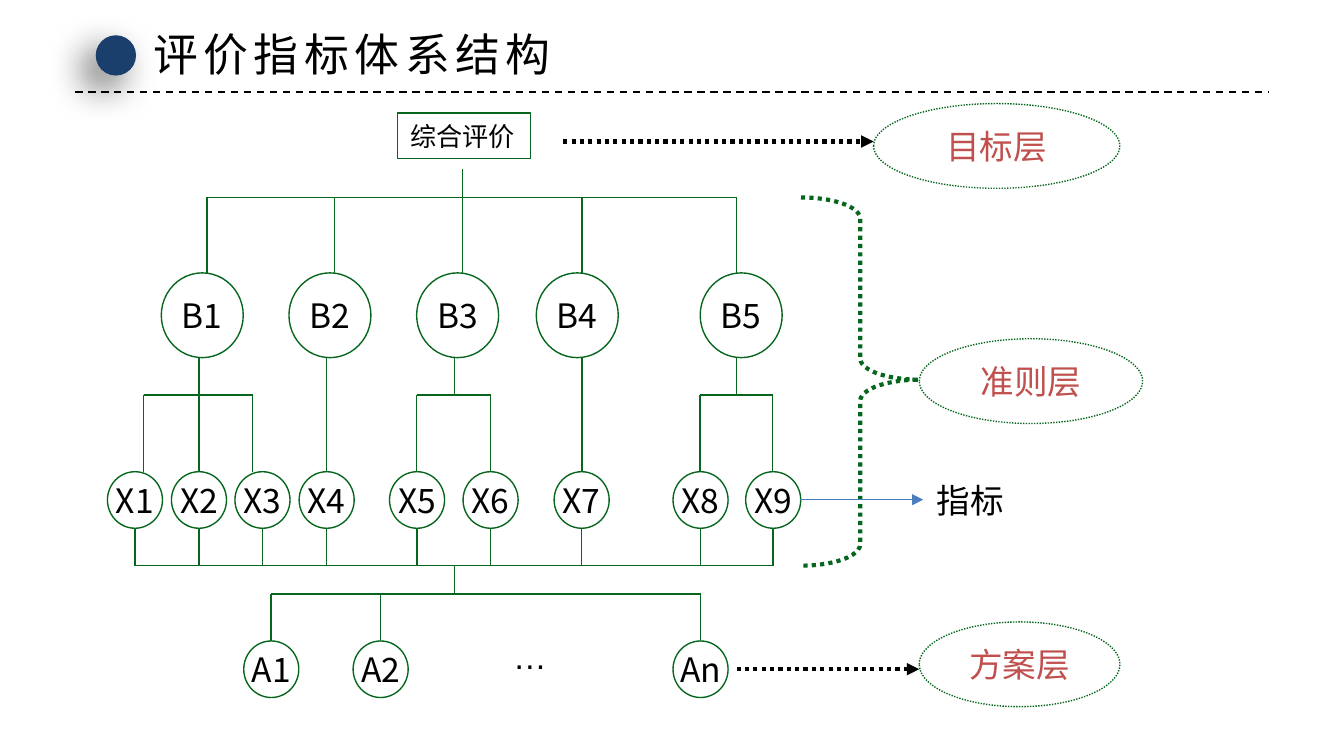
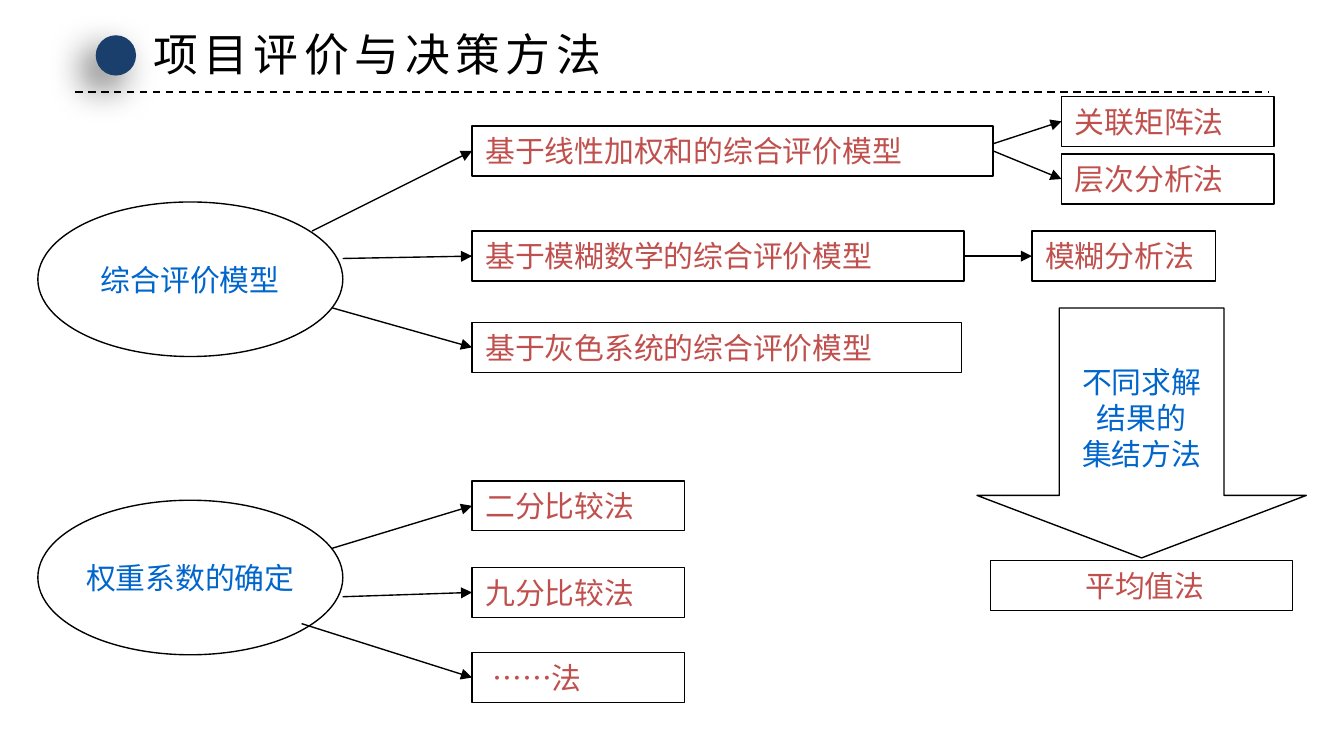
from typing import NamedTuple

from lxml.etree import SubElement
from pptx import Presentation
from pptx.dml.color import RGBColor
from pptx.enum.dml import MSO_LINE as Dash
from pptx.enum.shapes import MSO_CONNECTOR as Conn, MSO_SHAPE as Kind
from pptx.enum.text import MSO_ANCHOR as Anchor, MSO_AUTO_SIZE as Auto, PP_ALIGN as Align
from pptx.oxml.ns import qn
from pptx.util import Pt

# Shared look
HEX = {"ink": "000000", "navy": "1A3F6C", "green": "06661D", "red": "C0504D",
       "blue": "0066CC", "steel": "4B7EBC", "white": "FFFFFF"}
SANS = "Noto Sans CJK SC"
DOT = Dash.ROUND_DOT
THIN, THICK = 0.75, 2.25


class Node(NamedTuple):
    text: str
    x: float
    y: float
    w: float
    h: float


class Crit(NamedTuple):
    text: str
    left: float
    drop: float  # x of the line from above
    stem: float  # x of the line going down
    kids: tuple[float, ...]


class Box(NamedTuple):
    text: str
    x: float
    y: float
    w: float
    pad: float = 0
    align: Align = Align.LEFT


class Fan(NamedTuple):
    text: str
    y: float
    starts: tuple[tuple[float, float], ...]
    boxes: tuple[Box, ...]


def rgb(name: str) -> RGBColor:
    return RGBColor.from_string(HEX[name])


def write(shape, text: str, *, size: float = 18, color: str = "ink", font: str = SANS,
          align: Align = Align.CENTER, wrap: bool = False, pad: float = 0,
          gap: float = 0, track: int = 0) -> None:
    """Fill a shape with text, one paragraph per line."""
    frame = shape.text_frame
    frame.text = text
    frame.word_wrap = wrap
    frame.auto_size = Auto.NONE
    frame.vertical_anchor = Anchor.MIDDLE
    frame.margin_left = Pt(7.2 + pad)
    for para in frame.paragraphs:
        para.alignment = align
        if gap:
            para.line_spacing = Pt(gap)
        for run in para.runs:
            run.font.size = Pt(size)
            run.font.name = font
            run.font.color.rgb = rgb(color)
            props = run.font._element
            SubElement(props, qn("a:ea")).set("typeface", SANS)
            if track:
                props.set("spc", str(track * 100))


def stroke(line, color: str, width: float, dash: Dash | None = None) -> None:
    line.color.rgb = rgb(color)
    line.width = Pt(width)
    if dash:
        line.dash_style = dash


def draw(slide, kind: Kind, x: float, y: float, w: float, h: float, *, fill: str = "",
         line: str = "", width: float = THIN, dash: Dash | None = None):
    shape = slide.shapes.add_shape(kind, Pt(x), Pt(y), Pt(w), Pt(h))
    if fill:
        shape.fill.solid()
        shape.fill.fore_color.rgb = rgb(fill)
    else:
        shape.fill.background()
    if line:
        stroke(shape.line, line, width, dash)
    else:
        shape.line.fill.background()
    shape.shadow.inherit = False
    return shape


def link(slide, x1: float, y1: float, x2: float, y2: float, *, color: str = "green",
         width: float = THIN, dash: Dash | None = None, head: bool = False):
    wire = slide.shapes.add_connector(Conn.STRAIGHT, Pt(x1), Pt(y1), Pt(x2), Pt(y2))
    stroke(wire.line, color, width, dash)
    if head:
        SubElement(wire.line._get_or_add_ln(), qn("a:tailEnd")).set("type", "triangle")
    SubElement(wire._element.spPr, qn("a:effectLst"))
    return wire


def label(slide, text: str, x: float, y: float, w: float, h: float, font: str) -> None:
    box = slide.shapes.add_textbox(Pt(x), Pt(y), Pt(w), Pt(h))
    write(box, text, font=font, align=Align.LEFT)


def start(deck, text: str, width: float):
    """Add a slide with its title, dot and dashed rule."""
    slide = deck.slides.add_slide(deck.slide_layouts[5])
    title = slide.shapes.title
    title.left, title.top, title.width, title.height = Pt(74.9), Pt(10.8), Pt(width), Pt(36)
    write(title, text, size=24, align=Align.LEFT, track=3)
    link(slide, 40.3, 49.2, 679.7, 49.2, color="ink", width=1, dash=Dash.DASH)
    dot = draw(slide, Kind.OVAL, 51.3, 18.9, 21.6, 21.6, fill="navy")
    effects = dot._element.spPr.find(qn("a:effectLst"))
    shade = SubElement(effects, qn("a:outerShdw"), blurRad=str(Pt(20)), dist=str(Pt(10)),
                       dir="8100000", rotWithShape="0")
    tint = SubElement(shade, qn("a:srgbClr"), val=HEX["ink"])
    SubElement(tint, qn("a:alpha"), val="60000")
    return slide


# Slide 1: rows and columns of the tree
BAR_B, TOP_B, END_B = 105.8, 146.2, 191.6
BAR_X, TOP_X, END_X = 211.7, 252.7, 283
BAR_A, FORK, TOP_A = 303.1, 318.2, 343.4
BIG, SMALL = (43.9, 45.4), (29.5, 30.3)
CRITS = (
    Crit("B1", 86.4, 110.9, 106.6, (77, 106.6, 135.4)),
    Crit("B2", 154.8, 179.3, 175, (175,)),
    Crit("B3", 223.2, 247.7, 243.4, (223.2, 262.8)),
    Crit("B4", 287.3, 311.8, 311.8, (311.8,)),
    Crit("B5", 375.1, 394.6, 394.6, (375.1, 414)),
)
MARKS = (72.3, 106.6, 140.6, 175, 223.4, 262.8, 311.6, 375.3, 414.2)
PLANS = {"A1": 145.3, "A2": 203.9, "An": 375.3}
LAYERS = (
    Node("目标层", 468, 55.5, 131.9, 45.4),
    Node("准则层", 492.5, 181.5, 119.6, 45.4),
    Node("方案层", 492.5, 333.2, 107.5, 45.4),
)


def disc(slide, text: str, x: float, y: float, size: tuple[float, float]) -> None:
    write(draw(slide, Kind.OVAL, x, y, *size, line="green"), text)


def tree(deck) -> None:
    slide = start(deck, "评价指标体系结构", 232.6)

    # Goal and criteria
    root = draw(slide, Kind.RECTANGLE, 212.8, 60.6, 71.3, 24.5, line="green")
    write(root, "综合评价", size=14, align=Align.LEFT)
    trunk = CRITS[2].drop
    link(slide, trunk, 90.7, trunk, BAR_B)
    link(slide, CRITS[0].drop, BAR_B, CRITS[-1].drop, BAR_B)
    for crit in CRITS:
        link(slide, crit.drop, BAR_B, crit.drop, TOP_B)
        disc(slide, crit.text, crit.left, TOP_B, BIG)
        if len(crit.kids) > 1:
            link(slide, crit.stem, END_B, crit.stem, BAR_X)
            link(slide, crit.kids[0], BAR_X, crit.kids[-1], BAR_X)
        top = BAR_X if len(crit.kids) > 1 else END_B
        for x in crit.kids:
            link(slide, x, top, x, TOP_X)

    # Indicators
    for num, x in enumerate(MARKS, 1):
        disc(slide, f"X{num}", x - SMALL[0] / 2, TOP_X, SMALL)
        link(slide, x, END_X, x, BAR_A)
    link(slide, MARKS[0], BAR_A, MARKS[-1], BAR_A)

    # Plans
    link(slide, CRITS[2].stem, BAR_A, CRITS[2].stem, FORK)
    link(slide, PLANS["A1"], FORK, PLANS["An"], FORK)
    for name, x in PLANS.items():
        link(slide, x, FORK, x, TOP_A)
        disc(slide, name, x - SMALL[0] / 2, TOP_A, SMALL)
    label(slide, "…", 267.8, 338.4, 28.1, 25.9, "Arial")

    # Layer names
    for node in LAYERS:
        oval = draw(slide, Kind.OVAL, *node[1:], line="green", dash=DOT)
        write(oval, node.text, color="red", font="Arial" if node is LAYERS[0] else SANS)
    for x1, x2, y in ((301.7, 468, 75.8), (394.6, 492.5, 358.5)):
        link(slide, x1, y, x2, y, color="ink", width=THICK, dash=DOT, head=True)
    brace = draw(slide, Kind.RIGHT_BRACE, 429.1, BAR_B, 63.4, BAR_A - BAR_B,
                 line="green", width=THICK, dash=DOT)
    brace.adjustments[0], brace.adjustments[1] = 0.18, 0.495
    label(slide, "指标", 494.6, 253.4, 51.1, 28.8, "Calibri")
    link(slide, 428.6, 267.7, 494.6, 267.7, color="steel", head=True)


# Slide 2: models, weights and methods
COL, TALL = 252.9, 26.8
FANS = (
    Fan("综合评价模型", 108.2, ((167.2, 123.8), (183.6, 138.5), (177.8, 164.9)), (
        Box("基于线性加权和的综合评价模型", COL, 67.5, 279.2),
        Box("基于模糊数学的综合评价模型", COL, 123.8, 263.6),
        Box("基于灰色系统的综合评价模型", COL, 172.7, 262.3))),
    Fan("权重系数的确定", 268, ((177.8, 293.8), (183.6, 319.7), (161.6, 334.1)), (
        Box("二分比较法", COL, 257.6, 113.8),
        Box("九分比较法", COL, 304, 113.8),
        Box("……法", COL, 349.6, 113.8, pad=3.6))),
)
MATRIX = Box("关联矩阵法", 568.7, 51.6, 113.8)
LEVELS = Box("层次分析法", 568.7, 82.5, 113.8)
FUZZY = Box("模糊分析法", 552.8, 123.8, 98.4)
MEAN = Box("平均值法", 530.5, 300.4, 162, 3.6, Align.CENTER)


def panel(slide, box: Box):
    shape = draw(slide, Kind.RECTANGLE, box.x, box.y, box.w, TALL, line="ink")
    write(shape, box.text, size=16, color="red", align=box.align, wrap=True, pad=box.pad)
    return shape


def aim(slide, x: float, y: float, goal):
    """Point an arrow at the left side of a box."""
    wire = link(slide, x, y, x, y, color="ink", head=True)
    wire.end_connect(goal, 1)
    return wire


def methods(deck) -> None:
    slide = start(deck, "项目评价与决策方法", 259.9)

    # Ovals with their fans of boxes
    made = {}
    for fan in FANS:
        oval = draw(slide, Kind.OVAL, 20.3, fan.y, 163.4, 82.8, fill="white", line="ink")
        write(oval, fan.text, size=16, color="blue")
        for (x, y), box in zip(fan.starts, fan.boxes):
            made[box] = panel(slide, box)
            aim(slide, x, y, made[box])

    # Solving methods
    linear, fuzzy = FANS[0].boxes[:2]
    aim(slide, linear.x + linear.w, 77, panel(slide, MATRIX))
    for source, box in ((linear, LEVELS), (fuzzy, FUZZY)):
        wire = aim(slide, source.x + source.w, source.y, panel(slide, box))
        wire.begin_connect(made[source], 3)

    # Merging the results
    arrow = draw(slide, Kind.DOWN_ARROW, 523.4, 165, 176.4, 133.9, fill="white", line="ink")
    arrow.adjustments[0], arrow.adjustments[1] = 0.5, 0.25
    write(arrow, "不同求解\n结果的\n集结方法", size=16, color="blue", gap=19.3)
    panel(slide, MEAN)


def main() -> None:
    deck = Presentation()
    deck.slide_width, deck.slide_height = Pt(720), Pt(405)
    tree(deck)
    methods(deck)
    deck.save("out.pptx")


if __name__ == "__main__":
    main()
